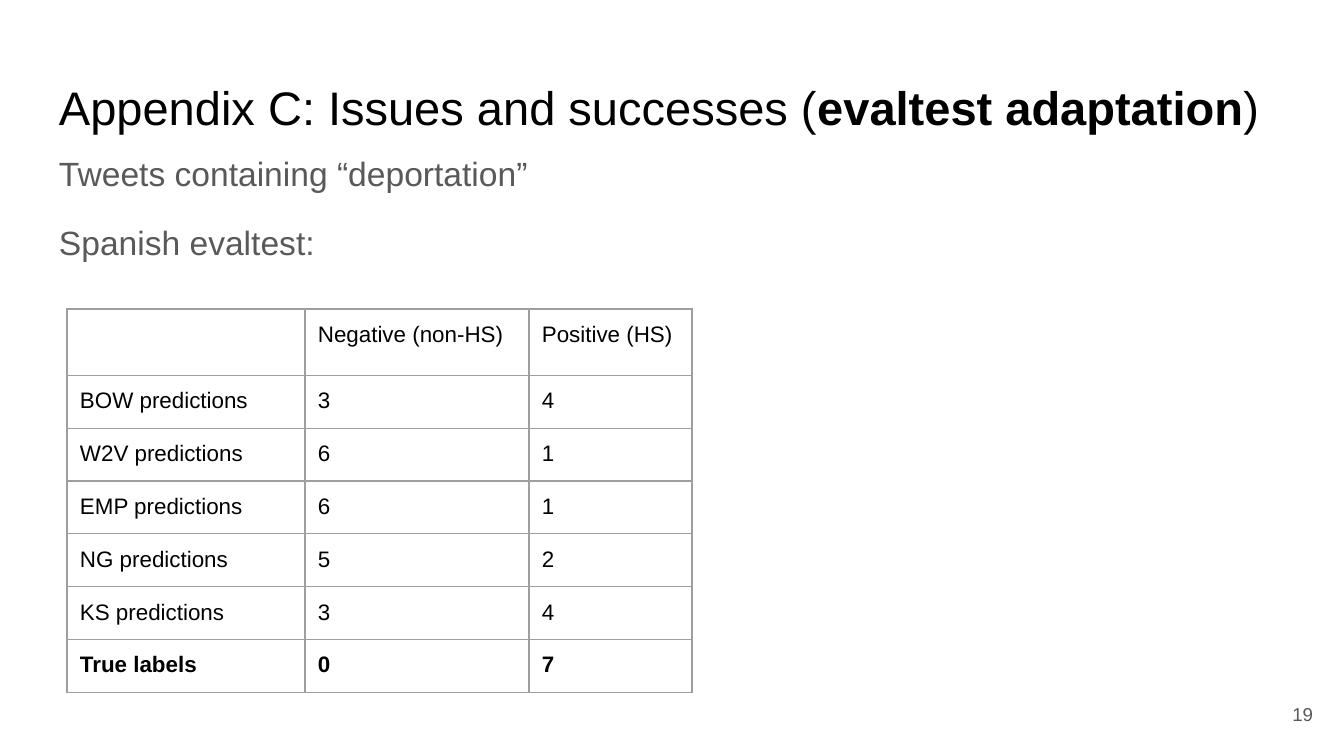
from lxml import etree
from pptx import Presentation
from pptx.dml.color import RGBColor
from pptx.enum.text import MSO_ANCHOR, PP_ALIGN
from pptx.oxml.ns import qn
from pptx.util import Pt

EMU_PER_PX = 914400 / 134.4
LEFT, RIGHT = PP_ALIGN.LEFT, PP_ALIGN.RIGHT
TOP, MIDDLE = MSO_ANCHOR.TOP, MSO_ANCHOR.MIDDLE

BLACK, GREY, RULE = "000000", "595959", "9E9E9E"
INSET = 13

PREDICTIONS = [
    ("", "Negative (non-HS)", "Positive (HS)"),
    ("BOW predictions", "3", "4"),
    ("W2V predictions", "6", "1"),
    ("EMP predictions", "6", "1"),
    ("NG predictions", "5", "2"),
    ("KS predictions", "3", "4"),
    ("True labels", "0", "7"),
]


def px(length):
    return round(length * EMU_PER_PX)


def color(hex_code):
    return RGBColor.from_string(hex_code)


def add_run(paragraph, text, *, size, ink=BLACK, bold=False, font="Arial"):
    run = paragraph.add_run()
    run.text = text
    run.font.name = font
    run.font.size = Pt(size)
    run.font.bold = bold
    run.font.color.rgb = color(ink)


def set_insets(holder):
    """Give a text frame or a table cell the same margin on every side."""
    holder.margin_left = holder.margin_right = px(INSET)
    holder.margin_top = holder.margin_bottom = px(INSET)


def set_borders(cell, ink=RULE, width=0.75):
    properties = cell._tc.get_or_add_tcPr()
    for position, side in enumerate(("lnL", "lnR", "lnT", "lnB")):
        line = etree.Element(qn(f"a:{side}"), w=str(Pt(width)))
        fill = etree.SubElement(line, qn("a:solidFill"))
        etree.SubElement(fill, qn("a:srgbClr"), val=ink)
        properties.insert(position, line)


class AppendixSlide:
    def __init__(self, presentation):
        self.slide = presentation.slides.add_slide(presentation.slide_layouts[6])

    def text(self, box, paragraphs, *, size, ink=BLACK, align=LEFT, anchor=TOP,
             line_spacing=None, gap=0):
        """Add a text box; each paragraph is a list of (text, bold) pieces."""
        frame = self.slide.shapes.add_textbox(*map(px, box)).text_frame
        frame.word_wrap = True
        frame.vertical_anchor = anchor
        set_insets(frame)
        for index, pieces in enumerate(paragraphs):
            paragraph = frame.add_paragraph() if index else frame.paragraphs[0]
            paragraph.alignment = align
            paragraph.line_spacing = line_spacing
            if index:
                paragraph.space_before = Pt(gap)
            for piece, bold in pieces:
                add_run(paragraph, piece, size=size, ink=ink, bold=bold)

    def table(self, left, top, widths, heights, rows):
        """Add a plain ruled table whose last row is bold."""
        box = (left, top, sum(widths), sum(heights))
        table = self.slide.shapes.add_table(
            len(rows), len(widths), *map(px, box)).table
        table.first_row = table.horz_banding = False
        for column, width in zip(table.columns, widths):
            column.width = px(width)
        for row_index, (row, height) in enumerate(zip(rows, heights)):
            table.rows[row_index].height = px(height)
            for column_index, value in enumerate(row):
                cell = table.cell(row_index, column_index)
                cell.fill.background()
                set_insets(cell)
                set_borders(cell)
                if value:
                    add_run(cell.text_frame.paragraphs[0], value, size=12,
                            bold=row_index == len(rows) - 1)


def main():
    presentation = Presentation()
    presentation.slide_width = px(1344)
    presentation.slide_height = px(756)
    appendix = AppendixSlide(presentation)

    appendix.text((46, 66, 1253, 85),
                  [[("Appendix C: Issues and successes (", False),
                    ("evaltest adaptation", True), (")", False)]],
                  size=25.2)
    appendix.text((46, 134, 1253, 609),
                  [[("Tweets containing “deportation”", False)],
                   [("Spanish evaltest:", False)]],
                  size=18, ink=GREY, line_spacing=1.15, gap=12)
    appendix.text((1246, 685, 80, 58), [[("19", False)]],
                  size=10, ink=GREY, align=RIGHT, anchor=MIDDLE)
    appendix.table(67, 309, (238, 224, 163), [64] + [52] * 6, PREDICTIONS)

    presentation.save("out.pptx")


if __name__ == "__main__":
    main()
